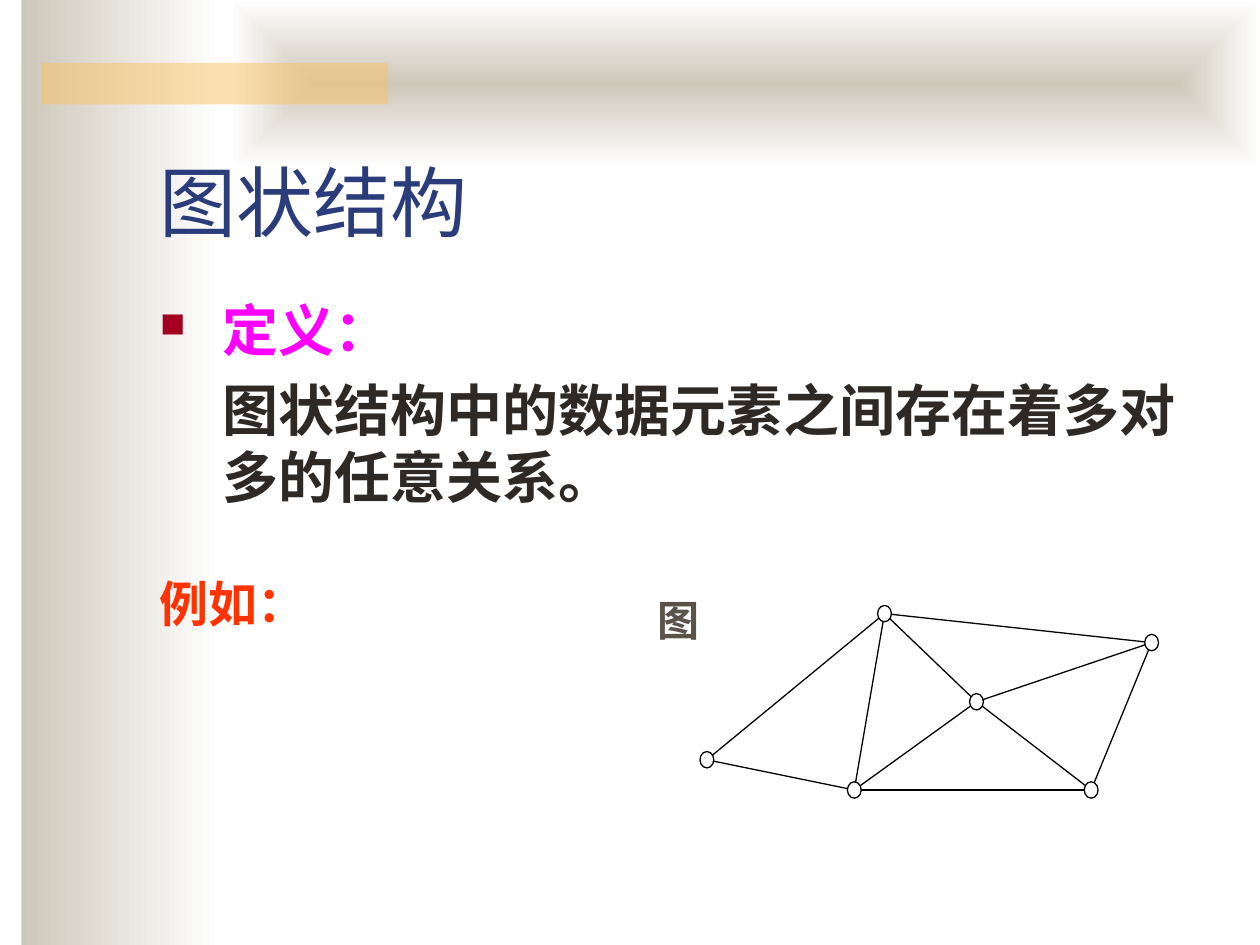
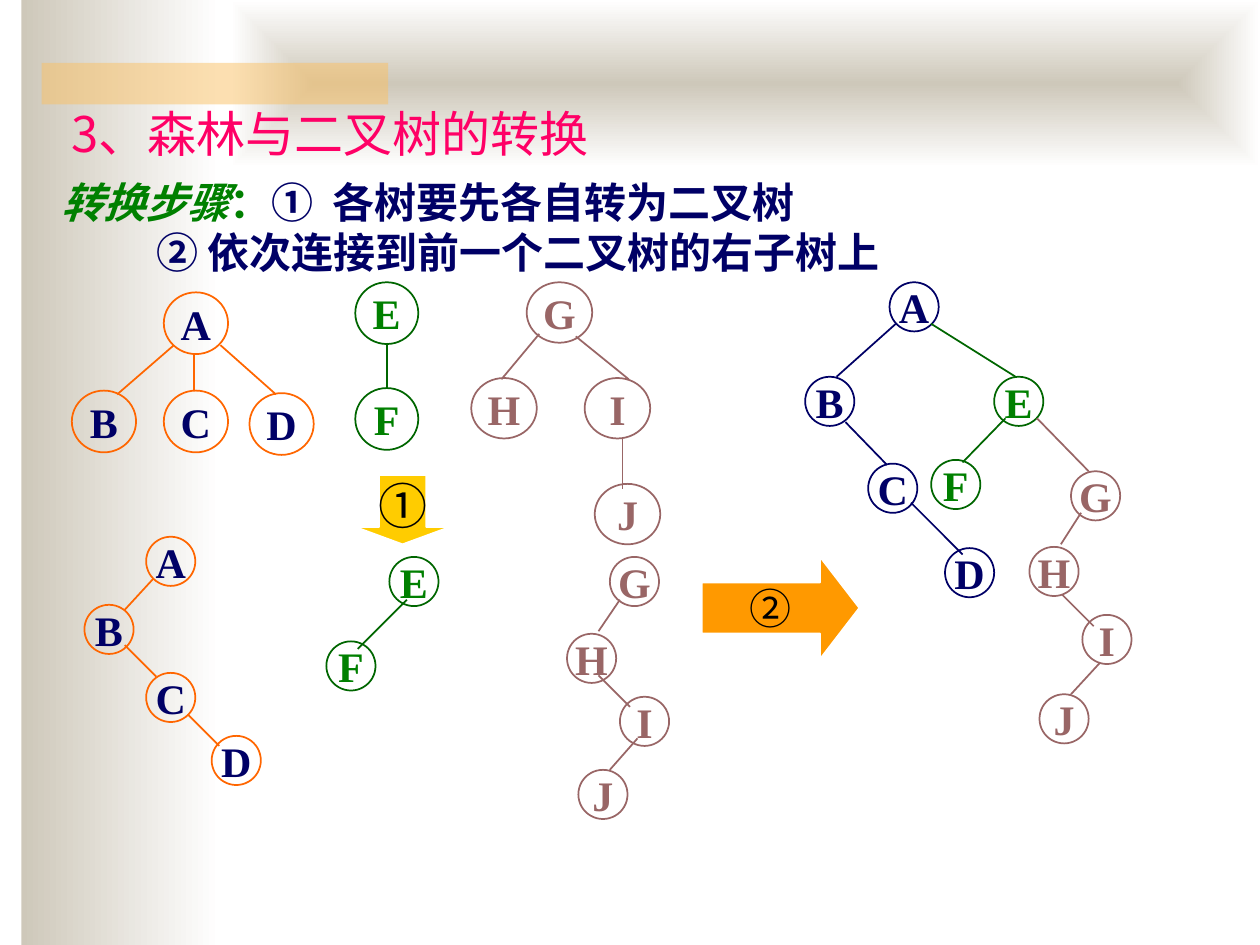
import pptx
import pptx.util
import pptx.dml.color
import pptx.enum.shapes
import pptx.enum.text
import pptx.oxml.ns
from lxml import etree

Inches, Pt = pptx.util.Inches, pptx.util.Pt
SHAPE = pptx.enum.shapes.MSO_SHAPE
ANCHOR = pptx.enum.text.MSO_ANCHOR
ALIGN = pptx.enum.text.PP_ALIGN
qn = pptx.oxml.ns.qn

SANS, SERIF = "Noto Sans CJK SC", "Times New Roman"
COLORS = {
    "sand": "CEC8BA", "white": "FFFFFF", "amber": "FAC164", "title": "2A3D7A",
    "bullet": "A50021", "magenta": "FF00FF", "body": "2E2924", "red": "FF3300",
    "black": "000000", "brown": "5B5249", "pink": "FF0066", "green": "008000",
    "forest": "006600", "navy": "000066", "orange": "FF6600", "rose": "996666",
    "gold": "FFCC00", "tan": "FF9900",
}
# line colour and letter colour of each tree
ORANGE, GREEN = ("orange", "navy"), ("forest", "green")
ROSE, NAVY = ("rose", "rose"), ("navy", "navy")
SMALL = (0.39, 0.39)

# style, node size, origin, node offsets, edges
TREES = [
    (ORANGE, (0.51, 0.49), (0.57, 2.32),
     {"A": (0.73, 0), "B": (0, 0.78), "C": (0.73, 0.78), "D": (1.41, 0.8)},
     [(0.81, 0.42, 0.36, 0.81), (1.18, 0.42, 1.62, 0.81),
      (0.97, 0.49, 0.97, 0.78)]),
    (GREEN, (0.5, 0.49), (2.82, 2.24),
     {"E": (0, 0), "F": (0, 0.84)}, [(0.25, 0.48, 0.25, 0.85)]),
    (ROSE, (0.52, 0.48), (3.74, 2.24),
     {"G": (0.44, 0), "H": (0, 0.76), "I": (0.9, 0.76), "J": (0.98, 1.6)},
     [(0.54, 0.41, 0.24, 0.77), (0.83, 0.43, 1.25, 0.77),
      (1.2, 1.24, 1.2, 1.64)]),
    (ORANGE, SMALL, (0.67, 4.26),
     {"A": (0.49, 0), "B": (0, 0.54), "C": (0.49, 1.08), "D": (1.01, 1.58)},
     [(0.55, 0.33, 0.32, 0.58), (0.32, 0.86, 0.57, 1.11),
      (0.82, 1.41, 1.07, 1.66)]),
    (GREEN, SMALL, (2.59, 4.42),
     {"E": (0.5, 0), "F": (0, 0.67)}, [(0.64, 0.34, 0.25, 0.73)]),
    (ROSE, SMALL, (4.5, 4.42),
     {"G": (0.34, 0), "H": (0, 0.61), "I": (0.42, 1.11), "J": (0.09, 1.69)},
     [(0.42, 0.34, 0.25, 0.59), (0.25, 0.94, 0.5, 1.19),
      (0.56, 1.44, 0.34, 1.69)]),
    (NAVY, SMALL, (6.39, 2.24),
     {"A": (0.67, 0), "B": (0, 0.75), "C": (0.5, 1.44), "D": (1.11, 2.11)},
     [(0.72, 0.33, 0.25, 0.75), (0.32, 1.11, 0.65, 1.45),
      (0.84, 1.75, 1.25, 2.16)]),
    (GREEN, SMALL, (7.39, 2.24),
     {"E": (0.5, 0.75), "F": (0, 1.41)},
     [(0, 0.33, 0.67, 0.75), (0.59, 1.08, 0.25, 1.43)]),
    (ROSE, SMALL, (8.17, 3.32),
     {"G": (0.33, 0.42), "H": (0, 1.02), "I": (0.42, 1.56), "J": (0.08, 2.19)},
     [(0.06, 0, 0.47, 0.42), (0.41, 0.75, 0.25, 1), (0.26, 1.4, 0.51, 1.65),
      (0.56, 1.94, 0.33, 2.19)]),
]

# graph nodes as centres within the graph's box
GRAPH = {"left": (0.06, 1.23), "top": (1.47, 0.07), "right": (3.59, 0.3),
         "hub": (2.2, 0.77), "base": (1.23, 1.47), "foot": (3.11, 1.47)}
LINKS = [("base", "foot"), ("left", "top"), ("top", "right"), ("right", "hub"),
         ("top", "base"), ("left", "base"), ("top", "hub"), ("base", "hub"),
         ("right", "foot"), ("hub", "foot")]


def rgb(name):
    return pptx.dml.color.RGBColor.from_string(COLORS[name])


def add_run(para, text, size, color, font=SERIF, bold=False, italic=False):
    run = para.add_run()
    run.text = text
    face = run.font
    face.size, face.name, face.bold, face.italic = Pt(size), font, bold, italic
    face.color.rgb = rgb(color)
    east = etree.Element(qn("a:ea"), typeface=SANS)
    face._element.find(qn("a:latin")).addnext(east)


def add_text(slide, box, inset=True):
    """Add a wrapping text box and return its frame."""
    frame = slide.shapes.add_textbox(*map(Inches, box)).text_frame
    frame.word_wrap = True
    if not inset:
        clear_inset(frame)
    return frame


def clear_inset(frame):
    frame.margin_left = frame.margin_right = 0
    frame.margin_top = frame.margin_bottom = 0


def add_shape(slide, kind, box, fill=None, line=None, width=1):
    shape = slide.shapes.add_shape(kind, *map(Inches, box))
    shape.shadow.inherit = False
    if fill:
        shape.fill.solid()
        shape.fill.fore_color.rgb = rgb(fill)
    else:
        shape.fill.background()
    if line:
        shape.line.color.rgb = rgb(line)
        shape.line.width = Pt(width)
    else:
        shape.line.fill.background()
    return shape


def add_line(slide, start, end, color, width):
    line = slide.shapes.add_connector(
        pptx.enum.shapes.MSO_CONNECTOR.STRAIGHT, *map(Inches, (*start, *end)))
    line.line.color.rgb = rgb(color)
    line.line.width = Pt(width)
    etree.SubElement(line._element.spPr, qn("a:effectLst"))


def add_fade(slide, box):
    """Add a bar that fades from sand to white."""
    bar = add_shape(slide, SHAPE.RECTANGLE, box)
    bar.fill.gradient()
    bar.fill.gradient_angle = 0
    for stop, color in zip(bar.fill.gradient_stops, ("sand", "white")):
        stop.color.rgb = rgb(color)
    return bar


def add_bands(slide):
    add_fade(slide, (0.17, 0, 1.58, 7.5))
    top = add_fade(slide, (1.83, 0, 8.17, 1.33))
    grad = top._element.spPr.find(qn("a:gradFill"))
    grad.remove(grad.find(qn("a:lin")))
    focus = etree.Element(qn("a:path"), {"path": "shape"})
    etree.SubElement(focus, qn("a:fillToRect"),
                     dict.fromkeys("ltrb", "50000"))
    grad.find(qn("a:gsLst")).addnext(focus)
    accent = add_shape(slide, SHAPE.RECTANGLE, (0.33, 0.5, 2.75, 0.33), "amber")
    tint = next(accent._element.spPr.iter(qn("a:srgbClr")))
    etree.SubElement(tint, qn("a:alpha"), val="50000")


def add_bullet(para):
    props = para._p.get_or_add_pPr()
    props.set("indent", str(-Inches(0.5)))
    tint = etree.SubElement(props, qn("a:buClr"))
    etree.SubElement(tint, qn("a:srgbClr"), val=COLORS["bullet"])
    etree.SubElement(props, qn("a:buSzPct"), val="62000")
    etree.SubElement(props, qn("a:buChar"), char="■")


def add_body(slide, box):
    frame = add_text(slide, box)
    head, text = frame.paragraphs[0], frame.add_paragraph()
    for para in (head, text):
        para._p.get_or_add_pPr().set("marL", str(Inches(0.5)))
    text.space_before = Pt(7)
    add_bullet(head)
    add_run(head, "定义：", 32, "magenta", bold=True)
    add_run(text, "图状结构中的数据元素之间", 32, "body", bold=True)
    add_run(text, "存在着多对多的任意关系。", 32, "body", SANS, True)


def add_graph(slide, left, top):
    spots = {name: (left + x, top + y) for name, (x, y) in GRAPH.items()}
    for start, end in LINKS:
        add_line(slide, spots[start], spots[end], "black", 0.75)
    wide, high = 0.11, 0.13
    for x, y in spots.values():
        add_shape(slide, SHAPE.OVAL, (x - wide / 2, y - high / 2, wide, high),
                  "white", "black", 0.75)


def add_tree(slide, style, size, origin, nodes, edges):
    left, top = origin
    line, ink = style
    for letter, (x, y) in nodes.items():
        node = add_shape(slide, SHAPE.OVAL, (left + x, top + y, *size),
                         line=line)
        frame = node.text_frame
        frame.word_wrap = False
        frame.vertical_anchor = ANCHOR.MIDDLE
        frame.paragraphs[0].alignment = ALIGN.CENTER
        add_run(frame.paragraphs[0], letter, 24, ink, bold=True)
    for x1, y1, x2, y2 in edges:
        add_line(slide, (left + x1, top + y1), (left + x2, top + y2), line, 1)


def add_arrow(slide, kind, box, head, fill, mark, size):
    arrow = add_shape(slide, kind, box, fill, "white")
    arrow.adjustments[0], arrow.adjustments[1] = 0.5, head
    frame = arrow.text_frame
    clear_inset(frame)
    frame.vertical_anchor = ANCHOR.MIDDLE
    frame.paragraphs[0].alignment = ALIGN.CENTER
    add_run(frame.paragraphs[0], mark, size, "black", SANS)


def add_steps(slide, box):
    frame = add_text(slide, box, inset=False)
    first, second = frame.paragraphs[0], frame.add_paragraph()
    add_run(first, "转换步骤", 24, "green", bold=True, italic=True)
    add_run(first, "：", 24, "green", bold=True)
    add_run(first, "①\t", 24, "navy", bold=True)
    add_run(first, "各树要先各自转为二叉树", 24, "navy", SANS, True)
    tabs = etree.SubElement(first._p.get_or_add_pPr(), qn("a:tabLst"))
    etree.SubElement(tabs, qn("a:tab"), pos=str(Inches(2.15)), algn="l")
    second._p.get_or_add_pPr().set("marL", str(Inches(0.75)))
    add_run(second, "② 依次连接到前一个二叉树的右子树上", 24, "navy", bold=True)


def graph_slide(slide):
    add_bands(slide)
    title = add_text(slide, (1.17, 0.99, 8.5, 1.02))
    title.vertical_anchor = ANCHOR.BOTTOM
    add_run(title.paragraphs[0], "图状结构", 44, "title", SANS)
    add_body(slide, (1.17, 2.3, 8.5, 1.93))
    label = add_text(slide, (1.17, 4.5, 2.25, 0.57))
    add_run(label.paragraphs[0], "例如：", 28, "red", bold=True)
    add_graph(slide, 5.55, 4.8)
    name = add_text(slide, (5.12, 4.67, 0.98, 0.7))
    add_run(name.paragraphs[0], "图", 24, "brown", bold=True)


def forest_slide(slide):
    add_bands(slide)
    title = add_text(slide, (0.57, 0.82, 5.08, 0.47), inset=False)
    add_run(title.paragraphs[0], "3、森林与二叉树的转换", 28, "pink", SANS)
    add_steps(slide, (0.49, 1.4, 8.25, 0.8))
    for tree in TREES:
        add_tree(slide, *tree)
    add_arrow(slide, SHAPE.DOWN_ARROW, (2.82, 3.77, 0.75, 0.55), 0.25,
              "gold", "①", 28)
    add_arrow(slide, SHAPE.RIGHT_ARROW, (5.57, 4.42, 1.25, 0.81), 0.385,
              "tan", "②", 24)


def main():
    deck = pptx.Presentation()
    deck.slide_width, deck.slide_height = Inches(10), Inches(7.5)
    for build in (graph_slide, forest_slide):
        build(deck.slides.add_slide(deck.slide_layouts[6]))
    deck.save("out.pptx")


if __name__ == "__main__":
    main()
